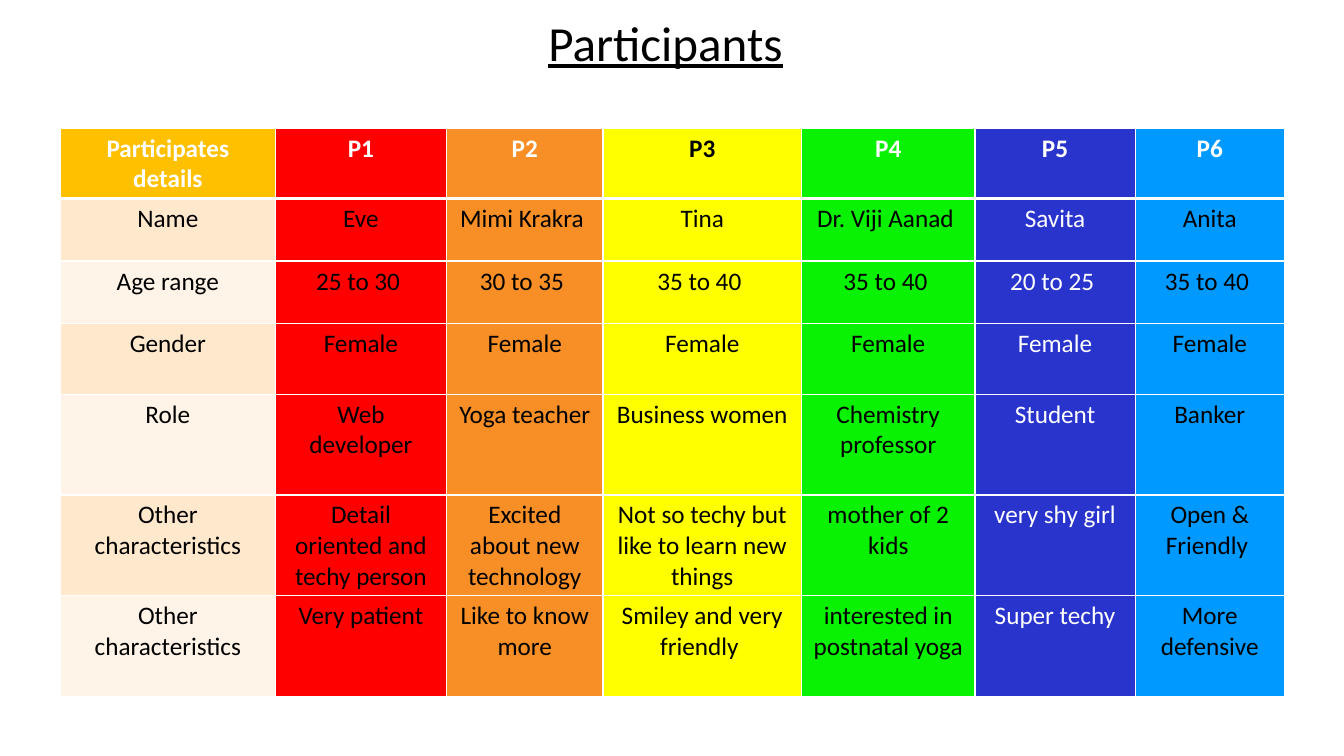
from lxml.etree import SubElement
from pptx import Presentation
from pptx.dml.color import RGBColor
from pptx.enum.text import MSO_AUTO_SIZE, PP_ALIGN
from pptx.oxml.ns import qn
from pptx.util import Inches, Pt

BLACK = RGBColor(0x00, 0x00, 0x00)
WHITE = RGBColor(0xFF, 0xFF, 0xFF)
AMBER = RGBColor(0xFF, 0xC0, 0x00)
PEACH = RGBColor(0xFF, 0xE8, 0xCC)
CREAM = RGBColor(0xFF, 0xF4, 0xE7)
RED = RGBColor(0xFF, 0x00, 0x00)
ORANGE = RGBColor(0xF8, 0x8F, 0x26)
YELLOW = RGBColor(0xFF, 0xFF, 0x00)
GREEN = RGBColor(0x09, 0xF1, 0x03)
INDIGO = RGBColor(0x28, 0x34, 0xCC)
BLUE = RGBColor(0x00, 0x99, 0xFF)

PARTICIPANT_FILLS = [RED, ORANGE, YELLOW, GREEN, INDIGO, BLUE]
COLUMN_WIDTHS = [2.13, 1.7, 1.55, 1.97, 1.72, 1.59, 1.48]
ROW_HEIGHTS = [0.7, 0.62, 0.62, 0.7, 1, 1, 1]
PARTICIPANTS = [
    ["Participates details", "P1", "P2", "P3", "P4", "P5", "P6"],
    ["Name", "Eve", "Mimi Krakra ", "Tina", "Dr. Viji Aanad ", "Savita", "Anita"],
    ["Age range", "25 to 30 ", "30 to 35 ", "35 to 40 ", "35 to 40 ", "20 to 25 ", "35 to 40 "],
    ["Gender"] + ["Female"] * 6,
    ["Role", "Web developer", "Yoga teacher", "Business women",
     "Chemistry professor", "Student", "Banker"],
    ["Other characteristics", "Detail oriented and techy person",
     "Excited about new technology", "Not so techy but like to learn new things",
     "mother of 2 kids", "very shy girl", "Open & Friendly "],
    ["Other characteristics", "Very patient", "Like to know more",
     "Smiley and very friendly ", "interested in postnatal yoga",
     "Super techy", "More defensive"],
]


def cell_fill(row, column):
    if column:
        return PARTICIPANT_FILLS[column - 1]
    if row == 0:
        return AMBER
    return PEACH if row % 2 else CREAM


def text_color(row, fill):
    """White in the header and on indigo, except on the yellow header."""
    if fill == INDIGO or (row == 0 and fill != YELLOW):
        return WHITE
    return BLACK


class SlideBuilder:
    font_name = "Calibri"

    def __init__(self, slide):
        self.slide = slide

    def add_text(self, text_frame, text, color, **font_format):
        run = text_frame.paragraphs[0].add_run()
        run.text = text
        run.font.color.rgb = color
        for name, value in {"name": self.font_name, **font_format}.items():
            setattr(run.font, name, value)

    def add_title(self, text, left, top, width, height):
        box = self.slide.shapes.add_textbox(
            Inches(left), Inches(top), Inches(width), Inches(height))
        box.text_frame.word_wrap = False
        box.text_frame.auto_size = MSO_AUTO_SIZE.SHAPE_TO_FIT_TEXT
        self.add_text(box.text_frame, text, BLACK, size=Pt(35), underline=True)

    def set_border(self, cell, side, points):
        properties = cell._tc.get_or_add_tcPr()
        line = SubElement(properties, qn(f"a:{side}"), w=str(Pt(points)))
        fill = SubElement(line, qn("a:solidFill"))
        SubElement(fill, qn("a:srgbClr"), val=str(WHITE))

    def style_cell(self, cell, text, row, column):
        header_edges = {0: {"lnB": 3}, 1: {"lnT": 3}}.get(row, {})
        for side in ("lnL", "lnR", "lnT", "lnB"):
            self.set_border(cell, side, header_edges.get(side, 1))
        fill = cell_fill(row, column)
        cell.fill.solid()
        cell.fill.fore_color.rgb = fill
        cell.text_frame.paragraphs[0].alignment = PP_ALIGN.CENTER
        self.add_text(cell.text_frame, text, text_color(row, fill),
                      size=Pt(18), bold=row == 0)

    def add_table(self, rows, left, top):
        table = self.slide.shapes.add_table(
            len(rows), len(rows[0]), Inches(left), Inches(top),
            Inches(sum(COLUMN_WIDTHS)), Inches(sum(ROW_HEIGHTS))).table
        for column, width in zip(table.columns, COLUMN_WIDTHS):
            column.width = Inches(width)
        for row, height in zip(table.rows, ROW_HEIGHTS):
            row.height = Inches(height)
        for row, texts in enumerate(rows):
            for column, text in enumerate(texts):
                self.style_cell(table.cell(row, column), text, row, column)


def main():
    presentation = Presentation()
    presentation.slide_width = Inches(13.33)
    presentation.slide_height = Inches(7.5)
    slide = presentation.slides.add_slide(presentation.slide_layouts[6])
    builder = SlideBuilder(slide)
    builder.add_title("Participants", 5.34, 0.07, 2.6, 0.69)
    builder.add_table(PARTICIPANTS, 0.6, 1.27)
    presentation.save("out.pptx")


if __name__ == "__main__":
    main()
